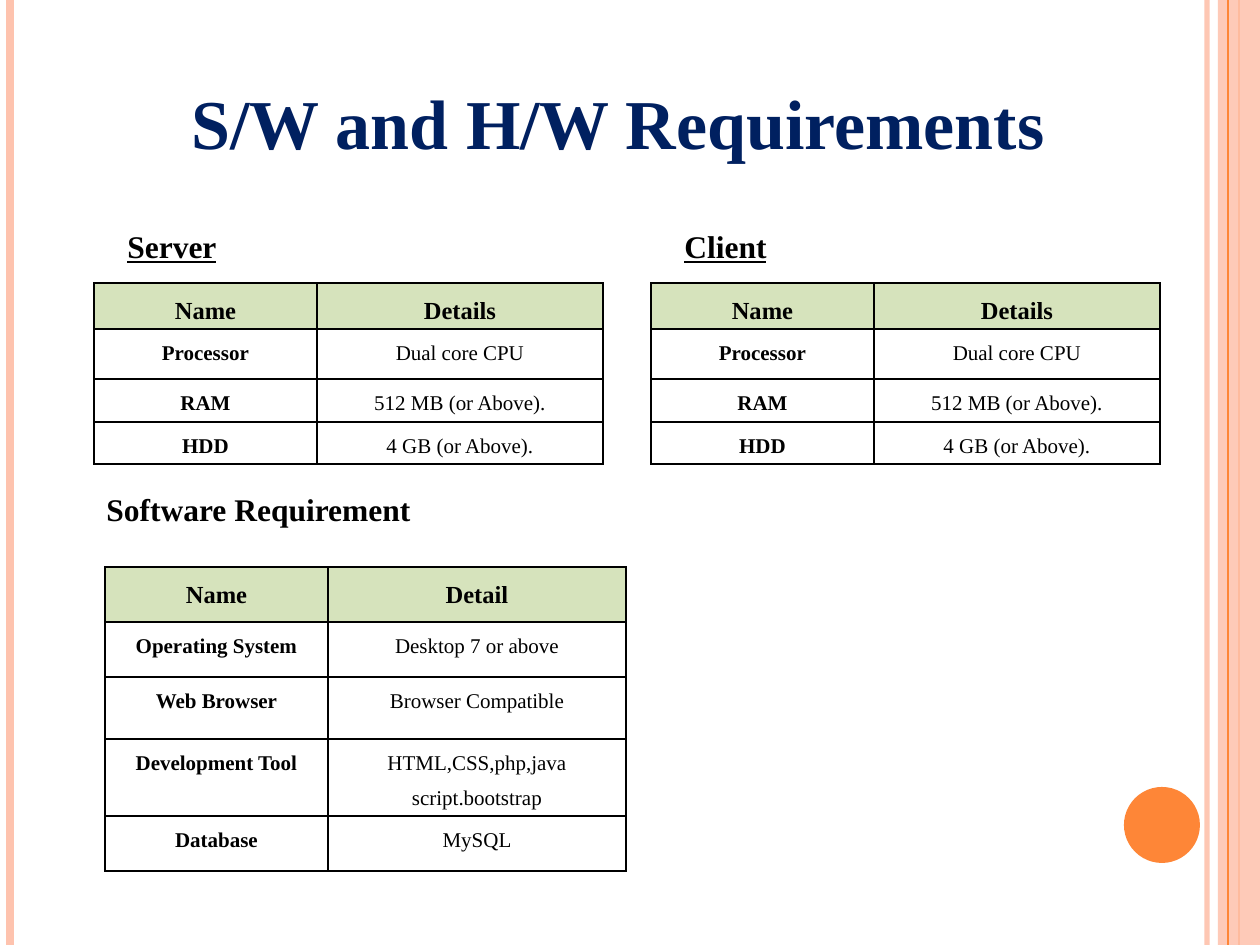
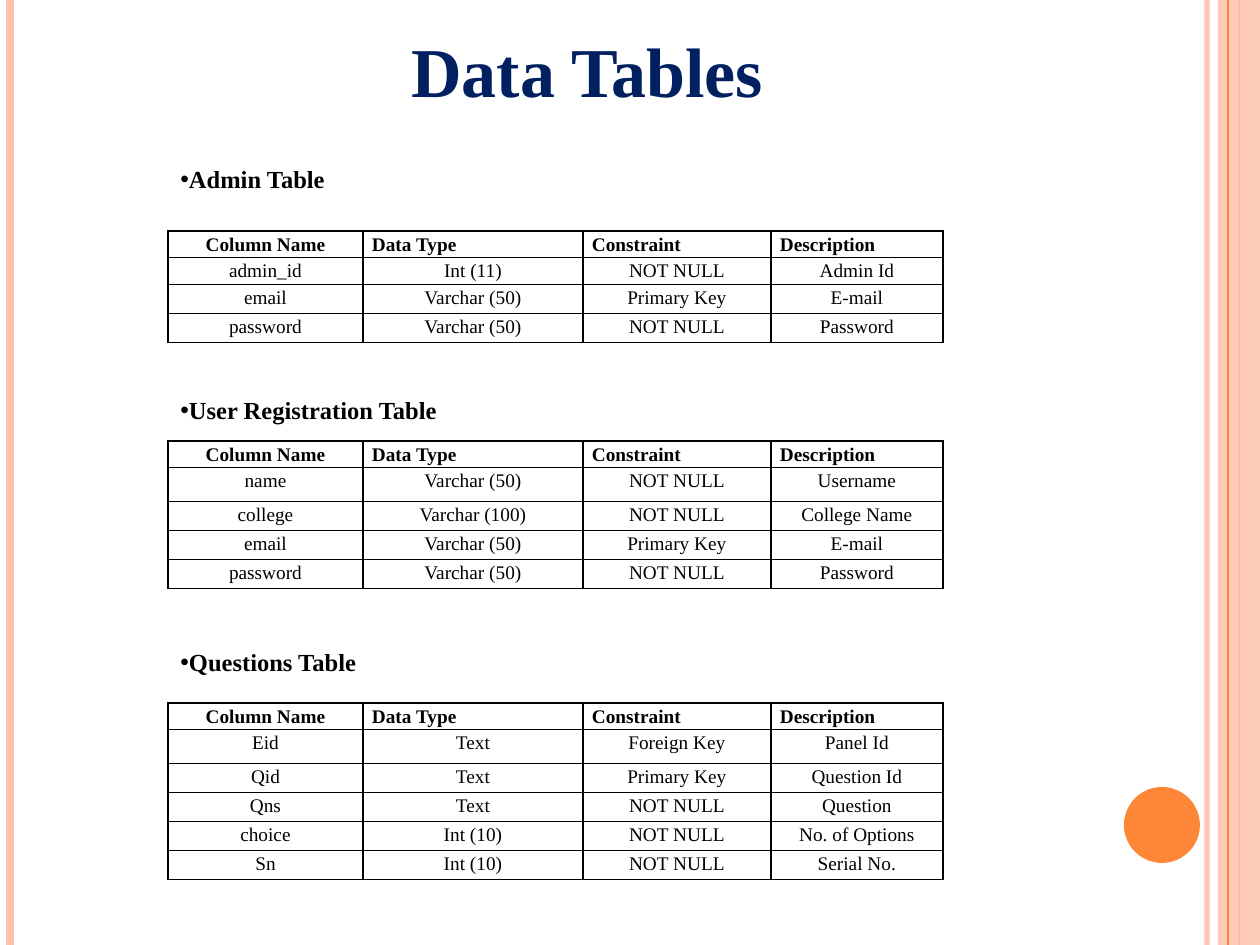
"""Build the requirements slide and the data tables slide."""
from dataclasses import dataclass
from lxml.etree import SubElement
from pptx import Presentation
from pptx.dml.color import RGBColor as Rgb
from pptx.enum.shapes import MSO_CONNECTOR as Conn, MSO_SHAPE as Shape
from pptx.enum.text import MSO_ANCHOR as Anchor, PP_ALIGN as Align
from pptx.oxml.ns import qn
from pptx.util import Emu, Pt


@dataclass(frozen=True)
class Theme:
    font: str = "Times New Roman"
    navy: str = "002060"
    black: str = "000000"
    peach: str = "FEC3AE"
    orange: str = "FE8637"
    green: str = "D6E3BC"
    title: int = 40
    head: int = 18
    sub: int = 14
    body: int = 12
    small: int = 11


@dataclass(frozen=True)
class Grid:
    cols: tuple
    top: int
    size: int
    lead: float
    after: int
    heads: tuple
    pad: int = 0
    fill: str = ""
    bold: bool = False


T = Theme()
WIDE, HIGH = 1260, 945
MID = Align.CENTER
HARD = Grid((223, 286), T.sub, T.body, 1.5, 1, (MID, MID), 1, T.green, True)
SOFT = Grid((223, 298), T.sub, T.body, 1.5, 1, (MID, MID), 1, T.green, True)
DATA = Grid((195, 220, 188, 172), T.small, T.small, 1.15, 6,
            (MID, Align.LEFT, Align.LEFT, Align.LEFT))

PARTS = (("Name", "Details"), ("Processor", "Dual core CPU"),
         ("RAM", "512 MB (or Above)."), ("HDD", "4 GB (or Above)."))
TOOLS = (("Name", "Detail"), ("Operating System", "Desktop 7 or above"),
         ("Web Browser", "Browser Compatible"),
         ("Development Tool", "HTML,CSS,php,java script.bootstrap"),
         ("Database", "MySQL"))
FIELDS = ("Column Name", "Data Type", "Constraint", "Description")
EMAIL = ("email", "Varchar (50)", "Primary Key", "E-mail")
PASS = ("password", "Varchar (50)", "NOT NULL", "Password")
ADMIN = (FIELDS, ("admin_id", "Int (11)", "NOT NULL", "Admin Id"), EMAIL, PASS)
USERS = (FIELDS, ("name", "Varchar (50)", "NOT NULL", "Username"),
         ("college", "Varchar (100)", "NOT NULL", "College Name"), EMAIL, PASS)
QUIZ = (FIELDS, ("Eid", "Text", "Foreign Key", "Panel Id"),
        ("Qid", "Text", "Primary Key", "Question Id"),
        ("Qns", "Text", "NOT NULL", "Question"),
        ("choice", "Int (10)", "NOT NULL", "No. of Options"),
        ("Sn", "Int (10)", "NOT NULL", "Serial No."))


def px(num):
    return Emu(round(num * 914400 / 126))


def fade(fill, part):
    tint = fill._xPr.find(".//" + qn("a:srgbClr"))
    SubElement(tint, qn("a:alpha"), val=str(part * 1000))


def add_run(para, text, size, color=T.black, bold=True, under=False):
    run = para.add_run()
    run.text = text
    font = run.font
    font.name, font.size, font.bold = T.font, Pt(size), bold
    font.color.rgb = Rgb.from_string(color)
    if under:
        font.underline = True


def add_text(slide, box, text, size, color=T.black, wrap=True, under=False,
             dot=False):
    frame = slide.shapes.add_textbox(*map(px, box)).text_frame
    frame.word_wrap = wrap
    para = frame.paragraphs[0]
    if dot:
        props = para._p.get_or_add_pPr()
        SubElement(props, qn("a:buFont"), typeface="Arial")
        SubElement(props, qn("a:buChar"), char="•")
    add_run(para, text, size, color, under=under)


def add_rule(slide, x, color, width, part=100):
    rule = slide.shapes.add_connector(Conn.STRAIGHT, px(x), 0, px(x), px(HIGH))
    rule.line.width = Pt(width)
    rule.line.color.rgb = Rgb.from_string(color)
    if part < 100:
        fade(rule.line.fill, part)
    SubElement(rule._element.spPr, qn("a:effectLst"))


def add_block(slide, kind, box, color, part=100):
    block = slide.shapes.add_shape(kind, *map(px, box))
    block.shadow.inherit = False
    block.fill.solid()
    block.fill.fore_color.rgb = Rgb.from_string(color)
    block.line.fill.background()
    if part < 100:
        fade(block.fill, part)


def add_edge(cell):
    props = cell._tc.get_or_add_tcPr()
    for side in ("lnL", "lnR", "lnT", "lnB"):
        line = SubElement(props, qn("a:" + side), w=str(Pt(1)))
        fill = SubElement(line, qn("a:solidFill"))
        SubElement(fill, qn("a:srgbClr"), val=T.black)


def fill_cell(cell, text, grid, row, col):
    head = row == 0
    cell.margin_left = cell.margin_right = px(9)
    cell.margin_top, cell.margin_bottom = px(grid.pad), 0
    cell.vertical_anchor = Anchor.TOP
    add_edge(cell)
    if head and grid.fill:
        cell.fill.solid()
        cell.fill.fore_color.rgb = Rgb.from_string(grid.fill)
    else:
        cell.fill.background()
    para = cell.text_frame.paragraphs[0]
    para.alignment = grid.heads[col] if head else MID
    para.line_spacing = grid.lead
    para.space_after = Pt(grid.after)
    bold = head or (grid.bold and col == 0)
    add_run(para, text, grid.top if head else grid.size, bold=bold)


def add_grid(slide, x, y, rows, highs, grid):
    box = x, y, sum(grid.cols), sum(highs)
    table = slide.shapes.add_table(
        len(rows), len(grid.cols), *map(px, box)).table
    table.first_row = table.horz_banding = False
    for col, wide in zip(table.columns, grid.cols):
        col.width = px(wide)
    for i, (row, high) in enumerate(zip(rows, highs)):
        table.rows[i].height = px(high)
        for j, text in enumerate(row):
            fill_cell(table.cell(i, j), text, grid, i, j)


def add_page(deck, title, box):
    slide = deck.slides.add_slide(deck.slide_layouts[6])
    add_rule(slide, 1207, T.peach, 3, 93)
    add_rule(slide, 10, T.peach, 4.5)
    add_rule(slide, 1239, T.orange, 1.5)
    add_block(slide, Shape.RECTANGLE, (1218, 0, 42, HIGH), T.peach, 87)
    add_rule(slide, 1228, T.orange, 0.75)
    add_block(slide, Shape.OVAL, (1124, 787, 76, 76), T.orange)
    add_text(slide, box, title, T.title, T.navy, wrap=False)
    return slide


def add_needs(deck):
    slide = add_page(deck, "S/W and H/W Requirements", (179, 73, 888, 97))
    for name, x in (("Server", 94), ("Client", 651)):
        add_text(slide, (x + 21, 221, 126, 48), name, T.head, under=True)
        add_grid(slide, x, 283, PARTS, (46, 50, 43, 42), HARD)
    add_text(slide, (94, 484, 346, 48), "Software Requirement", T.head)
    add_grid(slide, 105, 567, TOOLS, (55, 55, 62, 77, 55), SOFT)


def add_data(deck):
    slide = add_page(deck, "Data Tables", (399, 21, 381, 97))
    for name, y, top, rows, first in (
            ("Admin Table", 158, 231, ADMIN, 27),
            ("User Registration Table", 389, 441, USERS, 34),
            ("Questions Table", 641, 703, QUIZ, 34)):
        add_text(slide, (168, y, 294, 43), name, T.sub, dot=True)
        highs = [26, first] + [29] * (len(rows) - 2)
        add_grid(slide, 168, top, rows, highs, DATA)


def main():
    deck = Presentation()
    deck.slide_width, deck.slide_height = px(WIDE), px(HIGH)
    add_needs(deck)
    add_data(deck)
    deck.save("out.pptx")


if __name__ == "__main__":
    main()
